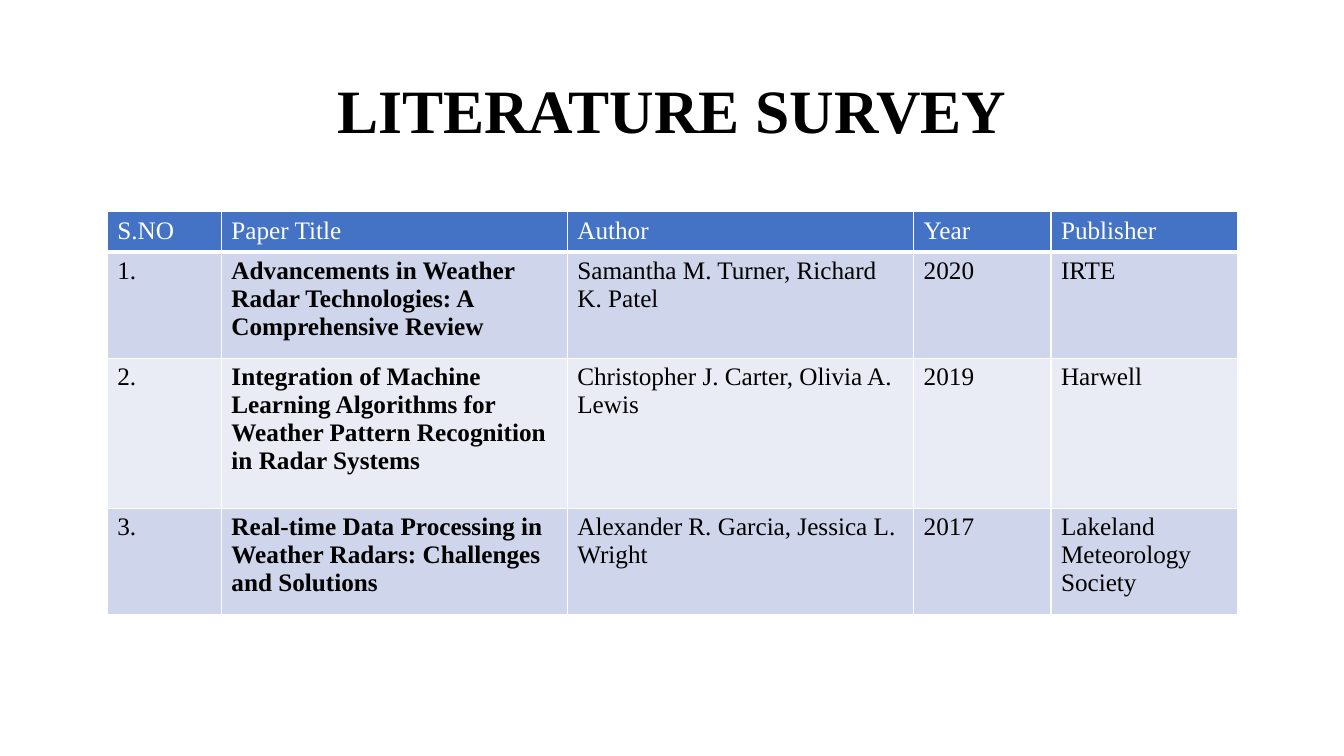
from lxml.etree import SubElement
from pptx import Presentation
from pptx.dml.color import RGBColor
from pptx.enum.text import MSO_ANCHOR, PP_ALIGN
from pptx.oxml.ns import qn
from pptx.util import Inches, Pt

COLORS = {
    "ink": "000000",
    "white": "FFFFFF",
    "header": "4472C4",
    "band_dark": "CFD5EA",
    "band_light": "E9EBF5",
}
FONT = "Times New Roman"

COLUMN_WEIGHTS = [10.1, 30.6, 30.65, 12.15, 16.5]
ROW_HEIGHTS = [5, 14.05, 19.87, 14.05]
PAPERS = [
    ["S.NO", "Paper Title", "Author", "Year", "Publisher"],
    ["1.", "Advancements in Weather Radar Technologies: A Comprehensive Review",
     "Samantha M. Turner, Richard K. Patel", "2020", "IRTE"],
    ["2.", "Integration of Machine Learning Algorithms for Weather Pattern "
     "Recognition in Radar Systems",
     "Christopher J. Carter, Olivia A. Lewis", "2019", "Harwell"],
    ["3.", "Real-time Data Processing in Weather Radars: Challenges and Solutions",
     "Alexander R. Garcia, Jessica L. Wright", "2017",
     "Lakeland Meteorology Society"],
]


def write(frame, text, size=18, color="ink", bold=False, align=PP_ALIGN.LEFT,
          line_spacing=None):
    frame.word_wrap = True
    para = frame.paragraphs[0]
    para.alignment = align
    para.line_spacing = line_spacing
    span = para.add_run()
    span.text = text
    span.font.name = FONT
    span.font.size = Pt(size)
    span.font.bold = bold
    span.font.color.rgb = RGBColor.from_string(COLORS[color])


def draw_borders(cell, bottom_width):
    properties = cell._tc.get_or_add_tcPr()
    for side, width in (("L", 1), ("R", 1), ("T", 1), ("B", bottom_width)):
        line = SubElement(properties, qn(f"a:ln{side}"), w=str(Pt(width)))
        fill = SubElement(line, qn("a:solidFill"))
        SubElement(fill, qn("a:srgbClr"), val=COLORS["white"])


class SlideBuilder:
    """Places elements on one page; lengths are percentages of its size."""

    def __init__(self, deck):
        self.deck = deck
        self.page = deck.slides.add_slide(deck.slide_layouts[6])

    def across(self, percent):
        return round(self.deck.slide_width * percent / 100)

    def down(self, percent):
        return round(self.deck.slide_height * percent / 100)

    def area(self, left, top, width, height):
        return (self.across(left), self.down(top),
                self.across(width), self.down(height))

    def title(self, text, *area):
        box = self.page.shapes.add_textbox(*self.area(*area))
        box.text_frame.vertical_anchor = MSO_ANCHOR.MIDDLE
        write(box.text_frame, text, size=44, bold=True,
              align=PP_ALIGN.CENTER, line_spacing=0.9)

    def table(self, rows, left, top, width, weights, heights):
        """Add a banded table; weights are percentages of its width."""
        area = self.area(left, top, width, sum(heights))
        table = self.page.shapes.add_table(len(rows), len(weights), *area).table
        for column, weight in zip(table.columns, weights):
            column.width = self.across(width * weight / 100)
        for row, height in zip(table.rows, heights):
            row.height = self.down(height)
        for row_index, texts in enumerate(rows):
            is_header = row_index == 0
            band = "band_dark" if row_index % 2 else "band_light"
            for column_index, text in enumerate(texts):
                cell = table.cell(row_index, column_index)
                draw_borders(cell, bottom_width=3 if is_header else 1)
                cell.fill.solid()
                cell.fill.fore_color.rgb = RGBColor.from_string(
                    COLORS["header" if is_header else band])
                write(cell.text_frame, text,
                      color="white" if is_header else "ink",
                      bold=column_index == 1 and not is_header)


def main():
    deck = Presentation()
    deck.slide_width, deck.slide_height = Inches(13.33), Inches(7.5)
    slide = SlideBuilder(deck)
    slide.title("LITERATURE SURVEY", 6.9, 5.33, 86.25, 19.33)
    slide.table(PAPERS, 7.98, 28, 84.1, COLUMN_WEIGHTS, ROW_HEIGHTS)
    deck.save("out.pptx")


if __name__ == "__main__":
    main()
